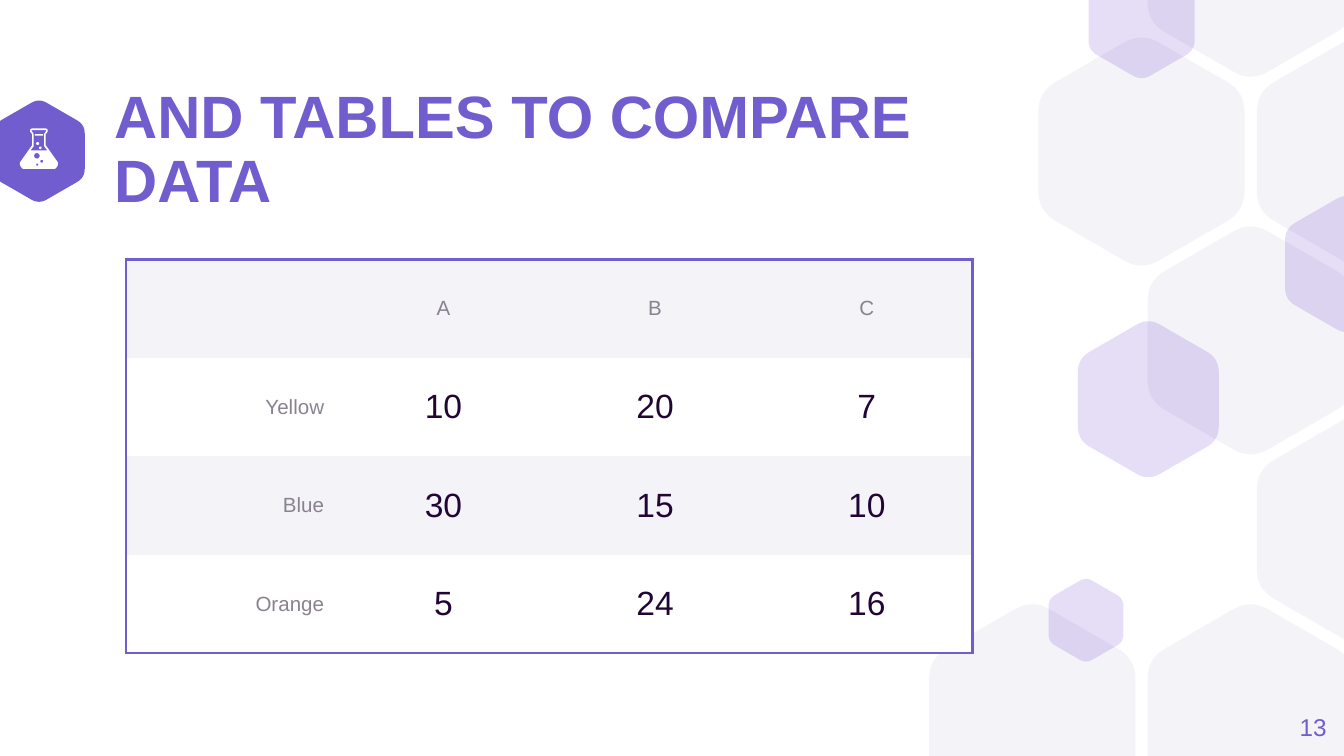
from math import cos, pi, sin

from lxml import etree
from pptx import Presentation
from pptx.dml.color import RGBColor
from pptx.enum import shapes, text
from pptx.oxml import ns
from pptx.util import Pt

VIOLET = RGBColor(0x72, 0x5D, 0xCF)
LILAC = RGBColor(0x53, 0x22, 0xC9)
PALE = RGBColor(0xF4, 0xF3, 0xF8)
WHITE = RGBColor(0xFF, 0xFF, 0xFF)
GREY = RGBColor(0x89, 0x82, 0x8F)
INK = RGBColor(0x21, 0x06, 0x35)
FONT = "Arial"
WIDTH, HEIGHT = 720, 405
NO_TABLE_STYLE = "{2D5ABB26-0587-4C30-8999-92F81FD0307C}"

deck = Presentation()
deck.slide_width, deck.slide_height = Pt(WIDTH), Pt(HEIGHT)
page = deck.slides.add_slide(deck.slide_layouts[6])


def draw_outline(contours, color):
    """Draw closed contours, given in points, as one filled freeform."""
    scaled = [[(x * 100, y * 100) for x, y in contour] for contour in contours]
    builder = page.shapes.build_freeform(*scaled[0][0], scale=Pt(1) / 100)
    builder.add_line_segments(scaled[0][1:])
    for contour in scaled[1:]:
        builder.move_to(*contour[0])
        builder.add_line_segments(contour[1:])
    shape = builder.convert_to_shape()
    shape.shadow.inherit = False
    shape.fill.solid()
    shape.fill.fore_color.rgb = color
    shape.line.fill.background()
    return shape


def draw_hexagon(center_x, center_y, width, color):
    """Draw an upright hexagon with rounded corners, cut at the page's top and bottom."""
    side = width / 3 ** 0.5
    corners = [(center_x + side * sin(k * pi / 3), center_y - side * cos(k * pi / 3))
               for k in range(6)]
    trim = 0.167
    points = []
    for k, (x, y) in enumerate(corners):
        before, after = corners[k - 1], corners[(k + 1) % 6]
        for step in range(9):
            t = step / 8
            toward_before, toward_after = trim * (1 - t) ** 2, trim * t ** 2
            curve_x = x + toward_before * (before[0] - x) + toward_after * (after[0] - x)
            curve_y = y + toward_before * (before[1] - y) + toward_after * (after[1] - y)
            points.append((curve_x, min(max(curve_y, 0), HEIGHT)))
    return draw_outline([points], color)


# Background honeycomb
draw_hexagon(20.9, 81, 49, VIOLET)
for column, row in [(0, 4), (2, 4), (3, 1), (2, 0), (2, 2), (1, 1), (3, 3)]:
    draw_hexagon(553 + 58.5 * column, -20 + 101.2 * row, 110.4, PALE)
for center_x, center_y, width in [(721.4, 141.5, 65.9), (581.8, 332.3, 40),
                                  (611.6, 10.4, 56.9), (615.2, 213.9, 75.5)]:
    hexagon = draw_hexagon(center_x, center_y, width, LILAC)
    fill_color = hexagon._element.spPr.find(ns.qn("a:solidFill"))[0]
    etree.SubElement(fill_color, ns.qn("a:alpha"), val="15000")

# Title and page number
for words, left, top, width, size, bold, align in [
        ("AND TABLES TO COMPARE DATA", 61.2, 65.5, 473, 32, True, text.PP_ALIGN.LEFT),
        ("13", 667.5, 373.7, 43.2, 13, False, text.PP_ALIGN.RIGHT)]:
    box = page.shapes.add_textbox(Pt(left), Pt(top), Pt(width), Pt(31))
    frame = box.text_frame
    frame.word_wrap = True
    frame.vertical_anchor = text.MSO_ANCHOR.MIDDLE
    frame.margin_left = frame.margin_right = frame.margin_top = frame.margin_bottom = 0
    para = frame.paragraphs[0]
    para.text = words
    para.alignment = align
    para.font.name, para.font.size, para.font.bold = FONT, Pt(size), bold
    para.font.color.rgb = VIOLET
    if bold:
        para.line_spacing = 0.9

# Comparison table
rows = [["", "A", "B", "C"],
        ["Yellow", "10", "20", "7"],
        ["Blue", "30", "15", "10"],
        ["Orange", "5", "24", "16"]]
table_frame = page.shapes.add_table(4, 4, Pt(67.5), Pt(139), Pt(453.6), Pt(211))
table_frame._element.xpath(".//a:tableStyleId")[0].text = NO_TABLE_STYLE
table = table_frame.table
table.first_row = table.horz_banding = False
for r, row in enumerate(rows):
    for c, words in enumerate(row):
        cell = table.cell(r, c)
        cell.vertical_anchor = text.MSO_ANCHOR.MIDDLE
        cell.margin_left = cell.margin_right = Pt(7.2)
        cell.margin_top = cell.margin_bottom = Pt(5)
        cell.fill.solid()
        cell.fill.fore_color.rgb = WHITE if r % 2 else PALE
        is_value = r > 0 and c > 0
        para = cell.text_frame.paragraphs[0]
        para.text = words
        para.alignment = text.PP_ALIGN.CENTER if c else text.PP_ALIGN.RIGHT
        para.font.name, para.font.size = FONT, Pt(18 if is_value else 11)
        para.font.color.rgb = INK if is_value else GREY
        edges = [("a:lnL", c == 0), ("a:lnR", c == 3), ("a:lnT", r == 0), ("a:lnB", r == 3)]
        outer_edges = [tag for tag, is_outer in edges if is_outer]
        properties = cell._tc.get_or_add_tcPr()
        for position, tag in enumerate(outer_edges):
            border = etree.Element(ns.qn(tag), w=str(Pt(1.5)))
            border_fill = etree.SubElement(border, ns.qn("a:solidFill"))
            etree.SubElement(border_fill, ns.qn("a:srgbClr"), val=str(VIOLET))
            properties.insert(position, border)

# Flask icon: half profiles are mirrored on the axis, bubbles are holes
AXIS = 20.9
body = [(3.8, 68.8), (4.7, 69.5), (4.7, 70.6), (3.6, 72), (3.6, 77.8),
        (10.2, 87.1), (10.2, 88.4), (9.1, 90.2), (8.3, 90.5)]
hollow = [(3.9, 69.8), (3.9, 70.2), (2.8, 71.8), (2.8, 78.4), (4.5, 80.6)]
flask = [[(AXIS + x, y) for x, y in half] + [(AXIS - x, y) for x, y in reversed(half)]
         for half in (body, hollow)]
for x, y, radius in [(19.8, 83.5, 1.5), (22.4, 86.4, 0.8), (20, 88.2, 0.6)]:
    flask.append([(x + radius * cos(k * pi / 8), y + radius * sin(k * pi / 8))
                  for k in range(16)])
draw_outline(flask, WHITE)
for kind, left, top, width, height in [
        (shapes.MSO_SHAPE.OVAL, 20.9, 78.5, 1.4, 1.4),
        (shapes.MSO_SHAPE.ROUNDED_RECTANGLE, 18.7, 71.9, 4.4, 0.8),
        (shapes.MSO_SHAPE.OVAL, 19.4, 76.1, 1.6, 1.6)]:
    mark = page.shapes.add_shape(kind, Pt(left), Pt(top), Pt(width), Pt(height))
    mark.shadow.inherit = False
    mark.fill.solid()
    mark.fill.fore_color.rgb = WHITE
    mark.line.fill.background()

deck.save("out.pptx")
